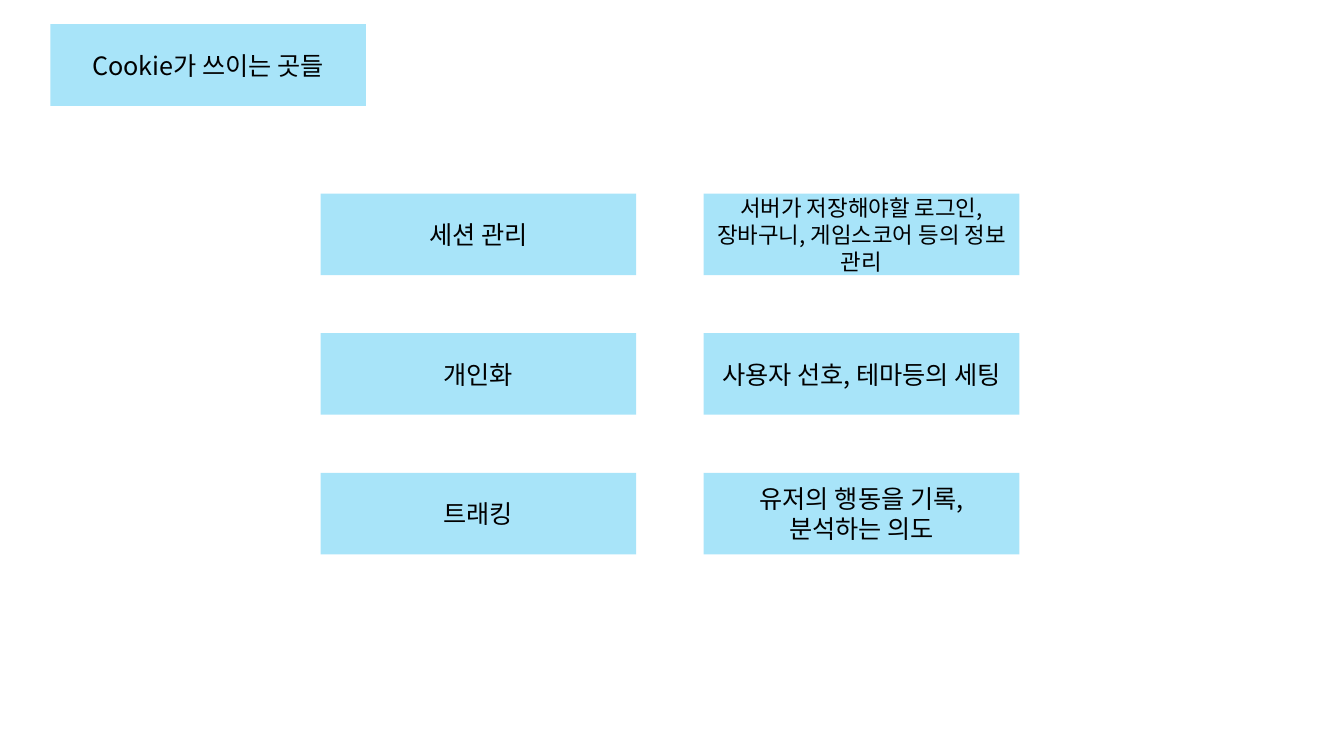
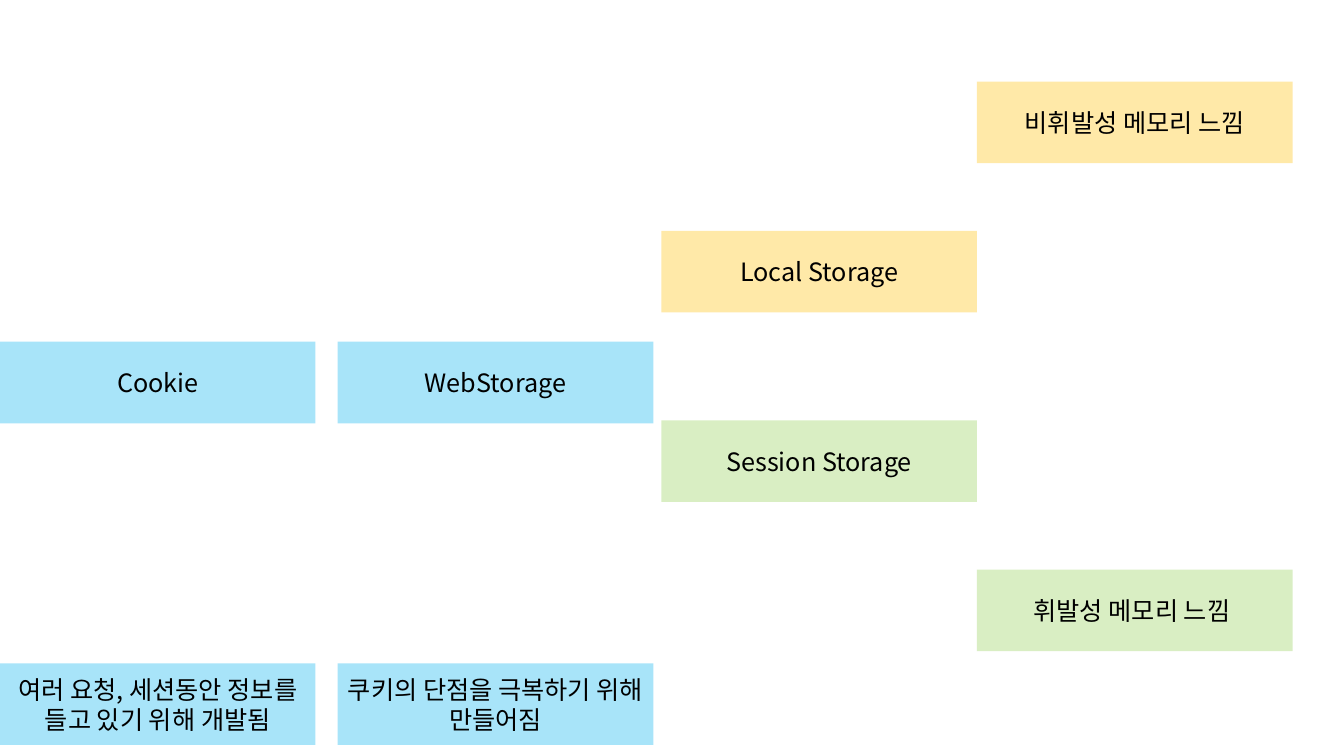
import dataclasses

import lxml.etree
import pptx
import pptx.dml.color
import pptx.enum.shapes
import pptx.enum.text
import pptx.oxml.ns
import pptx.util

Inches = pptx.util.Inches
qn = pptx.oxml.ns.qn


@dataclasses.dataclass(frozen=True)
class Theme:
    blue: str = "00B0F0"
    amber: str = "FFC000"
    green: str = "92D050"
    ink: str = "000000"
    opacity: int = 34
    font: str = "Noto Sans CJK KR"
    body: int = 18
    dense: int = 16
    card_width: float = 3.13
    card_height: float = 0.81


THEME = Theme()


def add_card(slide, left, top, wording, tint=THEME.blue, size=THEME.body):
    card = slide.shapes.add_shape(
        pptx.enum.shapes.MSO_SHAPE.RECTANGLE,
        Inches(left), Inches(top), Inches(THEME.card_width), Inches(THEME.card_height),
    )
    card.shadow.inherit = False
    card.line.fill.background()
    card.fill.solid()
    card.fill.fore_color.rgb = pptx.dml.color.RGBColor.from_string(tint)
    color = card.element.spPr.find(qn("a:solidFill")).find(qn("a:srgbClr"))
    lxml.etree.SubElement(color, qn("a:alpha"), val=str(THEME.opacity * 1000))

    card.text_frame.word_wrap = True
    card.text_frame.vertical_anchor = pptx.enum.text.MSO_ANCHOR.MIDDLE
    label = card.text_frame.paragraphs[0]
    label.text = wording
    label.alignment = pptx.enum.text.PP_ALIGN.CENTER
    label.font.size = pptx.util.Pt(size)
    label.font.name = THEME.font
    label.font.color.rgb = pptx.dml.color.RGBColor.from_string(THEME.ink)
    for defaults in card.element.iter(qn("a:defRPr")):
        lxml.etree.SubElement(defaults, qn("a:ea"), typeface=THEME.font)


def add_uses(slide, left, top, uses, column_step=3.8, row_step=1.385):
    for row, (purpose, detail, detail_size) in enumerate(uses):
        row_top = top + row * row_step
        add_card(slide, left, row_top, purpose)
        add_card(slide, left + column_step, row_top, detail, size=detail_size)


def add_origins(slide, left, top, origins, column_step=3.35, reason_drop=3.19):
    for column, (technology, reason) in enumerate(origins):
        column_left = left + column * column_step
        add_card(slide, column_left, top, technology)
        add_card(slide, column_left, top + reason_drop, reason)


def add_storage_branch(slide, left, top, storage, trait, tint, trait_offset):
    add_card(slide, left, top, storage, tint)
    add_card(slide, left + THEME.card_width, top + trait_offset, trait, tint)


def build_cookie_uses(slide):
    add_card(slide, 0.5, 0.24, "Cookie가 쓰이는 곳들")
    add_uses(slide, 3.18, 1.92, [
        ("세션 관리", "서버가 저장해야할 로그인, 장바구니, 게임스코어 등의 정보 관리", THEME.dense),
        ("개인화", "사용자 선호, 테마등의 세팅", THEME.body),
        ("트래킹", "유저의 행동을 기록, 분석하는 의도", THEME.body),
    ])


def build_storage_map(slide):
    add_origins(slide, 0, 3.39, [
        ("Cookie", "여러 요청, 세션동안 정보를 들고 있기 위해 개발됨"),
        ("WebStorage", "쿠키의 단점을 극복하기 위해 만들어짐"),
    ])
    add_storage_branch(slide, 6.56, 2.29, "Local Storage", "비휘발성 메모리 느낌",
                       THEME.amber, -1.48)
    add_storage_branch(slide, 6.56, 4.17, "Session Storage", "휘발성 메모리 느낌 ",
                       THEME.green, 1.48)


deck = pptx.Presentation()
deck.slide_width = Inches(13.33)
deck.slide_height = Inches(7.5)
for build in (build_cookie_uses, build_storage_map):
    build(deck.slides.add_slide(deck.slide_layouts[6]))
deck.save("out.pptx")
